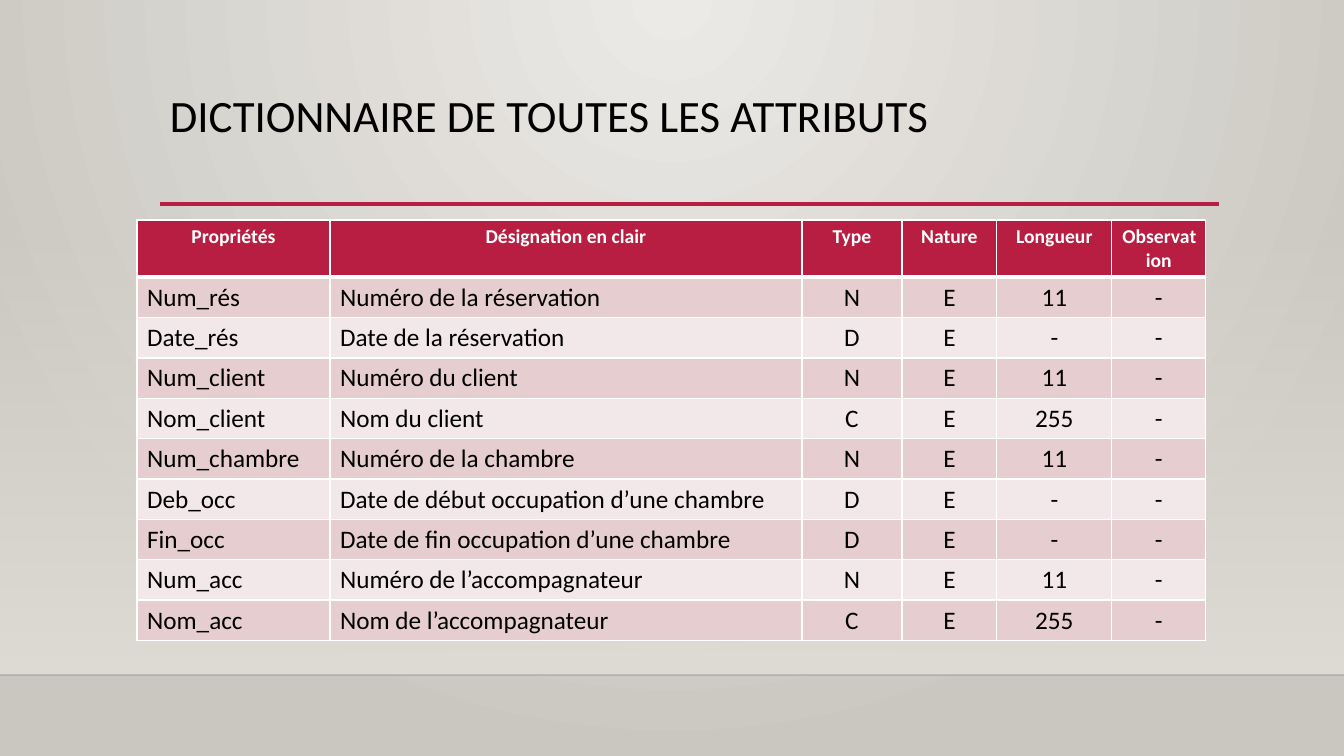
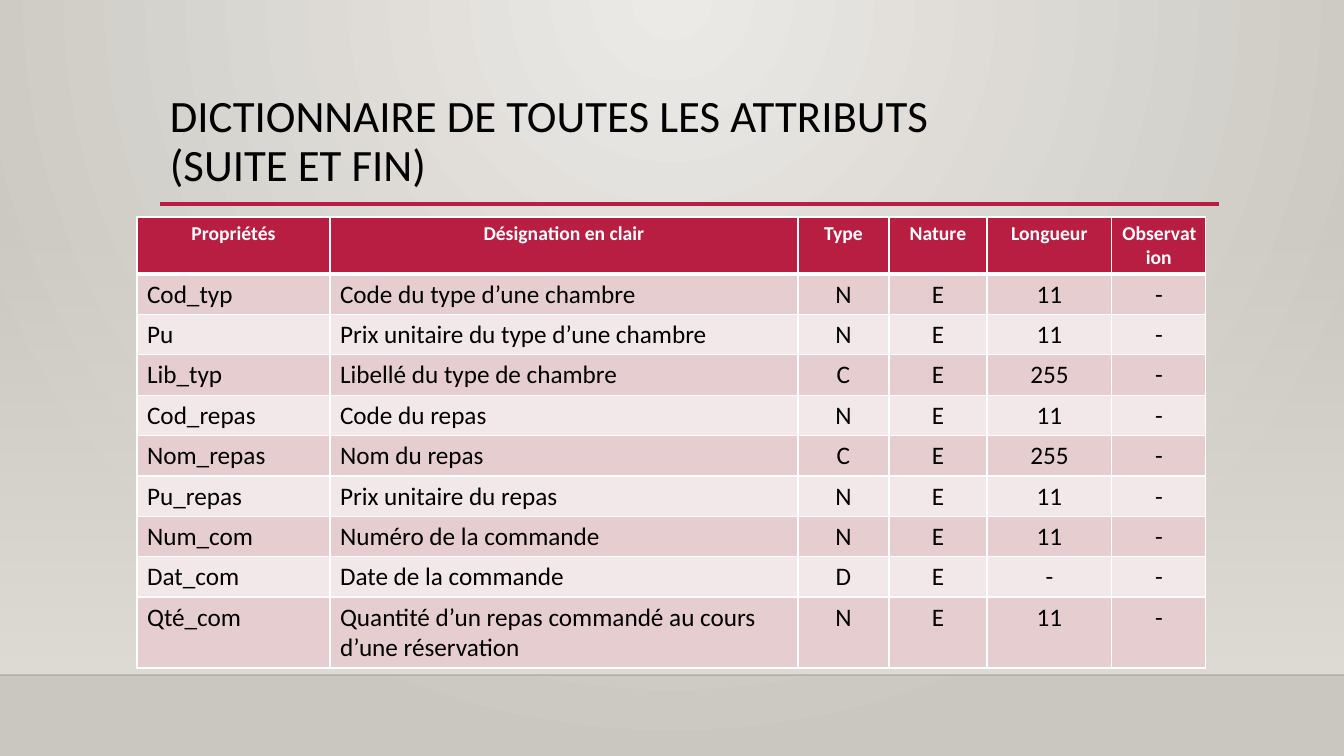
from lxml import etree
from pptx import Presentation
from pptx.dml.color import RGBColor
from pptx.enum.shapes import MSO_CONNECTOR, MSO_SHAPE
from pptx.enum.text import PP_ALIGN
from pptx.oxml.ns import qn
from pptx.util import Pt

LEFT, MID = PP_ALIGN.LEFT, PP_ALIGN.CENTER
RECT, LINE = MSO_SHAPE.RECTANGLE, MSO_CONNECTOR.STRAIGHT

PX = 12192000 / 1344
WIDE, HIGH = 1344, 756
FONT = "Calibri"
BLACK = RGBColor(0x00, 0x00, 0x00)
INK = RGBColor(0x00, 0x00, 0x01)
WHITE = RGBColor(0xFF, 0xFF, 0xFF)
RED = RGBColor(0xB7, 0x1E, 0x42)
ROSE = RGBColor(0xE6, 0xCD, 0xCF)
PALE = RGBColor(0xF3, 0xE8, 0xE9)
GLOW = RGBColor(0xEC, 0xEA, 0xE7)
EDGE = RGBColor(0xCA, 0xC7, 0xC1)
SAND = RGBColor(0xDF, 0xDB, 0xD5)

FLOOR = 675  # where the wall meets the floor
HEAD = ["Propriétés", "Désignation en clair", "Type", "Nature", "Longueur", "Observation"]
NATURE, NOTE = "E", "-"

# title, table top, column widths, height of the last row, attributes
PAGES = [
    ("DICTIONNAIRE DE TOUTES LES ATTRIBUTS", 220, [193, 472, 100, 95, 115, 94], 40, [
        ("Num_rés", "Numéro de la réservation", "N", "11"),
        ("Date_rés", "Date de la réservation", "D", "-"),
        ("Num_client", "Numéro du client", "N", "11"),
        ("Nom_client", "Nom du client", "C", "255"),
        ("Num_chambre", "Numéro de la chambre", "N", "11"),
        ("Deb_occ", "Date de début occupation d’une chambre", "D", "-"),
        ("Fin_occ", "Date de fin occupation d’une chambre", "D", "-"),
        ("Num_acc", "Numéro de l’accompagnateur", "N", "11"),
        ("Nom_acc", "Nom de l’accompagnateur", "C", "255"),
    ]),
    ("DICTIONNAIRE DE TOUTES LES ATTRIBUTS\v(SUITE ET FIN)", 217,
     [193, 468, 91, 98, 125, 94], 71, [
        ("Cod_typ", "Code du type d’une chambre", "N", "11"),
        ("Pu", "Prix unitaire du type d’une chambre", "N", "11"),
        ("Lib_typ", "Libellé du type de chambre", "C", "255"),
        ("Cod_repas", "Code du repas", "N", "11"),
        ("Nom_repas", "Nom du repas", "C", "255"),
        ("Pu_repas", "Prix unitaire du repas", "N", "11"),
        ("Num_com", "Numéro de la commande", "N", "11"),
        ("Dat_com", "Date de la commande", "D", "-"),
        ("Qté_com", "Quantité d’un repas commandé au cours d’une réservation", "N", "11"),
    ]),
]


def px(*nums):
    """Turn px lengths into a list of EMU."""
    return [round(num * PX) for num in nums]


def add(node, tag, **attrs):
    """Append a DrawingML child with the given attributes."""
    return etree.SubElement(node, qn("a:" + tag), {k: str(v) for k, v in attrs.items()})


deck = Presentation()
deck.slide_width, deck.slide_height = px(WIDE, HIGH)

for title, top, widths, last, items in PAGES:
    slide = deck.slides.add_slide(deck.slide_layouts[6])
    shapes = slide.shapes

    # Background: a glow from the top centre
    fill = slide.background.fill
    fill.gradient()
    for stop, tint in zip(fill.gradient_stops, (GLOW, EDGE)):
        stop.color.rgb = tint
    grad = slide.background._cSld.find(".//" + qn("a:gradFill"))
    grad.remove(grad.find(qn("a:lin")))
    add(add(grad, "path", path="circle"), "fillToRect", l=43000, t=0, r=43000, b=100000)

    # Wall: fades in downwards
    wall = shapes.add_shape(RECT, *px(0, 223, WIDE, FLOOR - 223))
    wall.shadow.inherit = False
    wall.line.fill.background()
    wall.fill.gradient()
    wall.fill.gradient_angle = 270
    for stop in wall.fill.gradient_stops:
        stop.color.rgb = SAND
    add(wall._element.spPr.find(".//" + qn("a:srgbClr")), "alpha", val=0)

    # Rules: the floor edge and the line below the title
    for x1, x2, y, tint, size, alpha in (
        (0, WIDE, FLOOR, INK, 1, 20),
        (160, 1219, 204, RED, 2.5, 100),
    ):
        rule = shapes.add_connector(LINE, *px(x1, y, x2, y))
        rule.line.color.rgb = tint
        rule.line.width = Pt(size)
        props = rule._element.spPr
        add(props.find(".//" + qn("a:srgbClr")), "alpha", val=alpha * 1000)
        add(props, "effectLst")

    frame = shapes.add_textbox(*px(160, 89, 1058, 116)).text_frame
    frame.word_wrap = True
    para = frame.paragraphs[0]
    para.text = title
    para.line_spacing = 0.9
    para.font.name, para.font.size = FONT, Pt(32)
    para.font.color.rgb = BLACK

    # Table of attributes
    rows = [HEAD] + [(name, label, kind, NATURE, size, NOTE) for name, label, kind, size in items]
    highs = [57] + [40] * (len(items) - 1) + [last]
    table = shapes.add_table(
        len(rows), len(HEAD), *px(137, top, sum(widths), sum(highs))
    ).table
    for col, width in zip(table.columns, px(*widths)):
        col.width = width
    for row, high in zip(table.rows, px(*highs)):
        row.height = high

    for r, texts in enumerate(rows):
        first = r == 0
        thick = {"T": 3 if r == 1 else 1, "B": 3 if first else 1}
        for c, text in enumerate(texts):
            cell = table.cell(r, c)
            props = cell._tc.get_or_add_tcPr()
            for side in "LRTB":
                edge = add(props, "ln" + side, w=Pt(thick.get(side, 1)))
                add(add(edge, "solidFill"), "srgbClr", val=WHITE)
            cell.fill.solid()
            cell.fill.fore_color.rgb = RED if first else (ROSE if r % 2 else PALE)
            para = cell.text_frame.paragraphs[0]
            para.text = text
            para.alignment = MID if first or c > 1 else LEFT
            para.font.name, para.font.size = FONT, Pt(14 if first else 18)
            para.font.bold = first
            para.font.color.rgb = WHITE if first else BLACK

deck.save("out.pptx")
